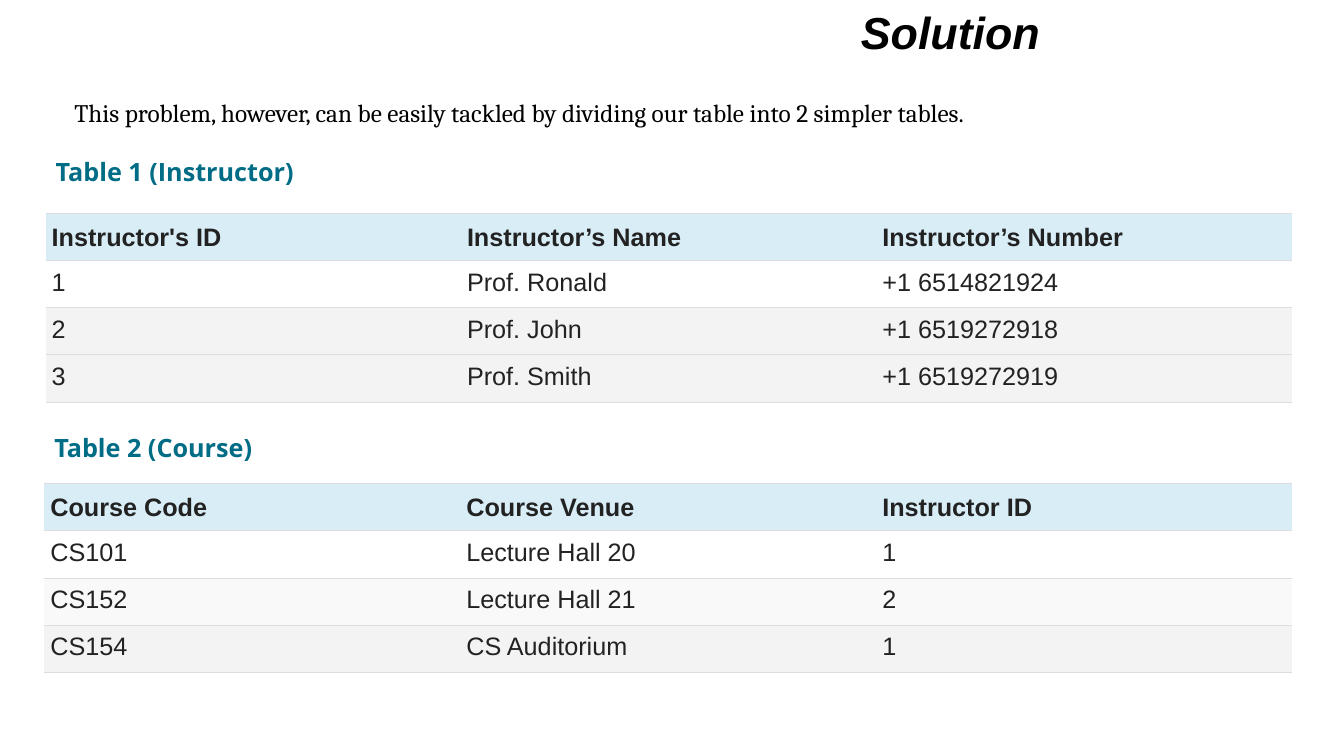
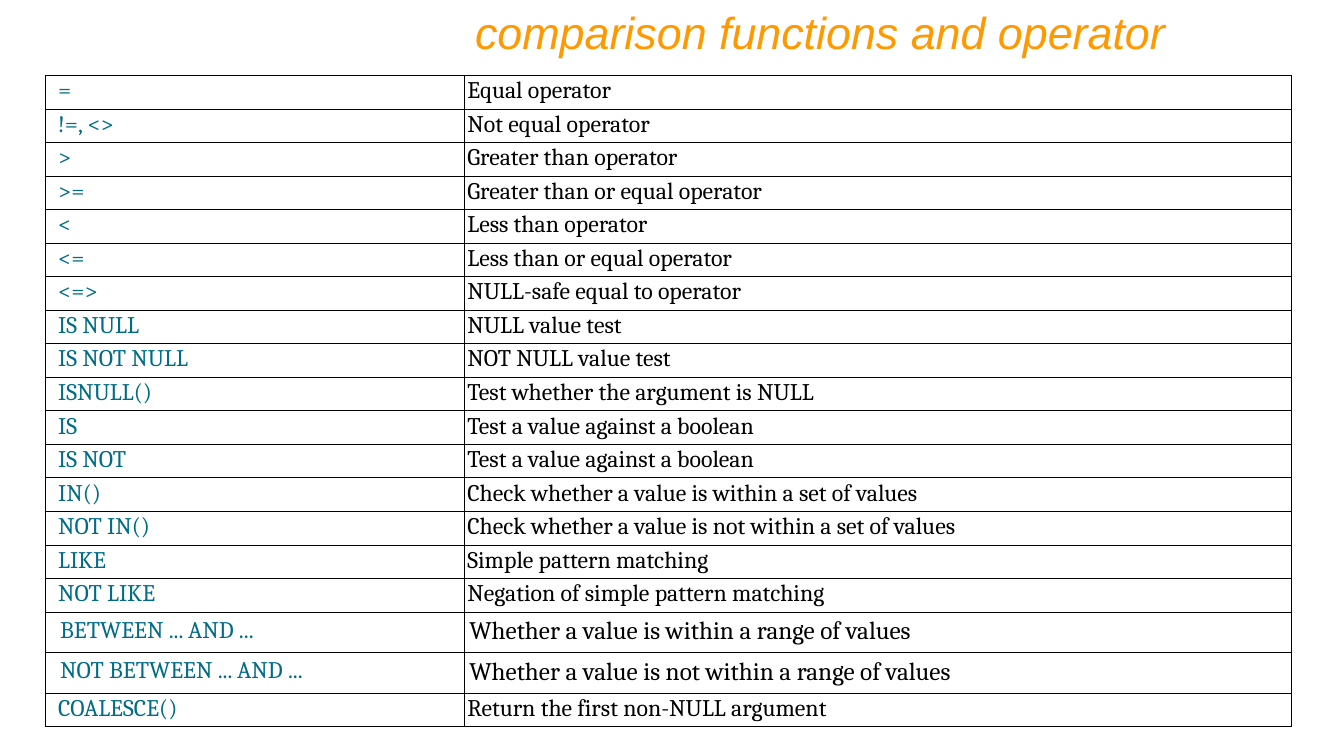
from dataclasses import dataclass

from lxml.etree import SubElement
from pptx import Presentation
from pptx.dml.color import RGBColor
from pptx.enum.text import MSO_ANCHOR, MSO_AUTO_SIZE, PP_ALIGN
from pptx.oxml.ns import qn
from pptx.slide import Slide
from pptx.table import Table, _Cell
from pptx.util import Inches, Length, Pt

BLACK = RGBColor(0x00, 0x00, 0x00)
WHITE = RGBColor(0xFF, 0xFF, 0xFF)
ORANGE = RGBColor(0xFF, 0x99, 0x00)
TEAL = RGBColor(0x00, 0x6C, 0x86)
CHARCOAL = RGBColor(0x22, 0x22, 0x22)
RULE_GREY = RGBColor(0xDD, 0xDD, 0xDD)
HEADER_BLUE = RGBColor(0xD9, 0xED, 0xF7)
BAND_GREY = RGBColor(0xF3, 0xF3, 0xF3)
BAND_PALE = RGBColor(0xF9, 0xF9, 0xF9)

SANS, SERIF, CAPTION_FONT = "Arial", "Cambria", "Open Sans"
SLIDE_WIDTH, SLIDE_HEIGHT = Inches(13.33), Inches(7.5)
TITLE_ONLY = 5
PLAIN_STYLE = "{2D5ABB26-0587-4C30-8999-92F81FD0307C}"
TITLE_HEIGHT, LINE_HEIGHT = 8.53, 5.33
CODE_INDENT = 0.1


@dataclass(frozen=True)
class Area:
    """Percentages of the slide's width and height."""
    left: float
    top: float
    width: float
    height: float

    def box(self) -> tuple[Length, Length, Length, Length]:
        return across(self.left), down(self.top), across(self.width), down(self.height)


@dataclass(frozen=True)
class TextStyle:
    font: str
    size: float
    color: RGBColor
    bold: bool = False
    italic: bool = False
    align: PP_ALIGN = PP_ALIGN.LEFT


@dataclass(frozen=True)
class Relation:
    caption: str
    left: float
    caption_top: float
    top: float
    width: float
    rows: list[tuple[str, str, str]]
    fills: list[RGBColor]


@dataclass(frozen=True)
class Operator:
    symbol: str
    meaning: str
    roomy: bool = False


RELATION_ROW = 6.23
RELATIONS = [
    Relation("Table 1 (Instructor)", 3.4, 20, 28.27, 92.7, [
        ("Instructor's ID", "Instructor’s Name", "Instructor’s Number"),
        ("1", "Prof. Ronald", "+1 6514821924"),
        ("2", "Prof. John", "+1 6519272918"),
        ("3", "Prof. Smith", "+1 6519272919"),
    ], [HEADER_BLUE, WHITE, BAND_GREY, BAND_GREY]),
    Relation("Table 2 (Course)", 3.3, 56.53, 64, 92.85, [
        ("Course Code", "Course Venue", "Instructor ID"),
        ("CS101", "Lecture Hall 20", "1"),
        ("CS152", "Lecture Hall 21", "2"),
        ("CS154", "CS Auditorium", "1"),
    ], [HEADER_BLUE, WHITE, BAND_PALE, BAND_GREY]),
]

OPERATOR_COLUMNS = (31.2, 61.5)
OPERATOR_ROW, ROOMY_ROW = 4.44, 5.37
OPERATORS = [
    Operator("=", "Equal operator"),
    Operator("!=, <>", "Not equal operator"),
    Operator(">", "Greater than operator"),
    Operator(">=", "Greater than or equal operator"),
    Operator("<", "Less than operator"),
    Operator("<=", "Less than or equal operator"),
    Operator("<=>", "NULL-safe equal to operator"),
    Operator("IS NULL", "NULL value test"),
    Operator("IS NOT NULL", "NOT NULL value test"),
    Operator("ISNULL()", "Test whether the argument is NULL"),
    Operator("IS", "Test a value against a boolean"),
    Operator("IS NOT", "Test a value against a boolean"),
    Operator("IN()", "Check whether a value is within a set of values"),
    Operator("NOT IN()", "Check whether a value is not within a set of values"),
    Operator("LIKE", "Simple pattern matching"),
    Operator("NOT LIKE", "Negation of simple pattern matching"),
    Operator("BETWEEN ... AND ...", "Whether a value is within a range of values", True),
    Operator("NOT BETWEEN ... AND ...", "Whether a value is not within a range of values", True),
    Operator("COALESCE()", "Return the first non-NULL argument"),
]


def across(percent: float) -> Length:
    return Length(round(SLIDE_WIDTH * percent / 100))


def down(percent: float) -> Length:
    return Length(round(SLIDE_HEIGHT * percent / 100))


def write(frame, text: str, style: TextStyle) -> None:
    frame.text = text
    paragraph = frame.paragraphs[0]
    paragraph.alignment = style.align
    font = paragraph.font
    font.name, font.size = style.font, Pt(style.size)
    font.bold, font.italic = style.bold, style.italic
    font.color.rgb = style.color


def add_titled_slide(deck, text: str, left: float, width: float,
                     color: RGBColor, bold: bool = False) -> Slide:
    slide = deck.slides.add_slide(deck.slide_layouts[TITLE_ONLY])
    title = slide.shapes.title
    title.left, title.top, title.width, title.height = Area(left, 0, width, TITLE_HEIGHT).box()
    frame = title.text_frame
    write(frame, text, TextStyle(SANS, 32, color, bold, True, PP_ALIGN.RIGHT))
    frame.word_wrap = True
    frame.auto_size = MSO_AUTO_SIZE.NONE
    frame.vertical_anchor = MSO_ANCHOR.TOP
    return slide


def add_line_of_text(slide: Slide, area: Area, text: str, style: TextStyle) -> None:
    frame = slide.shapes.add_textbox(*area.box()).text_frame
    frame.word_wrap = True
    write(frame, text, style)


def add_plain_table(slide: Slide, left: float, top: float,
                    columns: list[float], rows: list[float]) -> Table:
    area = Area(left, top, sum(columns), sum(rows))
    frame = slide.shapes.add_table(len(rows), len(columns), *area.box())
    table = frame.table
    table.first_row = table.horz_banding = False
    frame._element.find(f".//{qn('a:tableStyleId')}").text = PLAIN_STYLE
    for column, width in zip(table.columns, columns):
        column.width = across(width)
    for row, height in zip(table.rows, rows):
        row.height = down(height)
    return table


def set_insets(cell: _Cell, side: float, edge: float, indent: float = 0) -> None:
    cell.margin_left, cell.margin_right = Inches(side + indent), Inches(side)
    cell.margin_top = cell.margin_bottom = Inches(edge)


def rule_cell(cell: _Cell, sides: str, color: RGBColor, width: float) -> None:
    properties = cell._tc.get_or_add_tcPr()
    for side in sides:
        line = SubElement(properties, qn(f"a:ln{side}"), w=str(Pt(width)))
        SubElement(SubElement(line, qn("a:solidFill")), qn("a:srgbClr"), val=str(color))


def add_relation(slide: Slide, relation: Relation) -> None:
    add_line_of_text(slide, Area(relation.left, relation.caption_top, 30, LINE_HEIGHT),
                     relation.caption, TextStyle(CAPTION_FONT, 18, TEAL, bold=True))
    column_count = len(relation.rows[0])
    table = add_plain_table(slide, relation.left, relation.top,
                            [relation.width / column_count] * column_count,
                            [RELATION_ROW] * len(relation.rows))
    for row, (values, fill) in enumerate(zip(relation.rows, relation.fills)):
        is_header = row == 0
        for column, value in enumerate(values):
            cell = table.cell(row, column)
            set_insets(cell, 0.06, 0.08)
            rule_cell(cell, "TB", RULE_GREY, 0.75)
            cell.fill.solid()
            cell.fill.fore_color.rgb = fill
            cell.vertical_anchor = MSO_ANCHOR.MIDDLE if is_header else MSO_ANCHOR.TOP
            write(cell.text_frame, value, TextStyle(SANS, 18, CHARCOAL, bold=is_header))


def add_operators(slide: Slide) -> None:
    heights = [ROOMY_ROW if operator.roomy else OPERATOR_ROW for operator in OPERATORS]
    table = add_plain_table(slide, 3.35, 9.95, list(OPERATOR_COLUMNS), heights)
    for row, operator in enumerate(OPERATORS):
        side, edge = (0.05, 0.05) if operator.roomy else (0.03, 0.02)
        meaning_size = 18 if operator.roomy else 17
        entries = [
            (operator.symbol, TextStyle(SERIF, 17, TEAL), CODE_INDENT),
            (operator.meaning, TextStyle(SERIF, meaning_size, BLACK), 0),
        ]
        for column, (text, style, indent) in enumerate(entries):
            cell = table.cell(row, column)
            set_insets(cell, side, edge, indent)
            rule_cell(cell, "LRTB", BLACK, 0.25)
            cell.fill.background()
            write(cell.text_frame, text, style)


def main() -> None:
    deck = Presentation()
    deck.slide_width, deck.slide_height = SLIDE_WIDTH, SLIDE_HEIGHT

    solution = add_titled_slide(deck, "Solution", 21.9, 56.25, BLACK, bold=True)
    solution.shapes.title.fill.solid()
    solution.shapes.title.fill.fore_color.rgb = WHITE
    add_line_of_text(
        solution, Area(4.8, 12.27, 89.8, LINE_HEIGHT),
        "This problem, however, can be easily tackled by dividing our table into 2 simpler tables.",
        TextStyle(SERIF, 18, BLACK, align=PP_ALIGN.JUSTIFY))
    for relation in RELATIONS:
        add_relation(solution, relation)

    comparison = add_titled_slide(deck, "comparison functions and operator", 12.5, 75, ORANGE)
    add_operators(comparison)

    deck.save("out.pptx")


if __name__ == "__main__":
    main()
